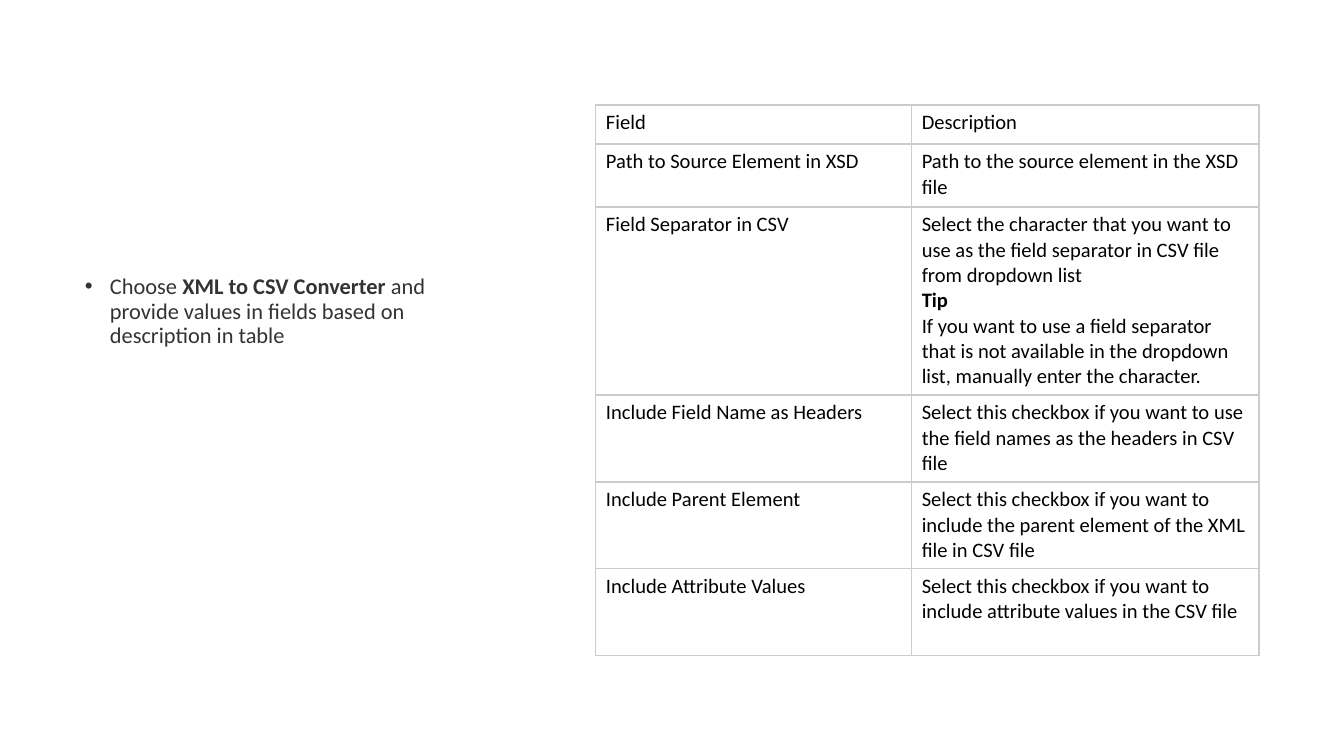
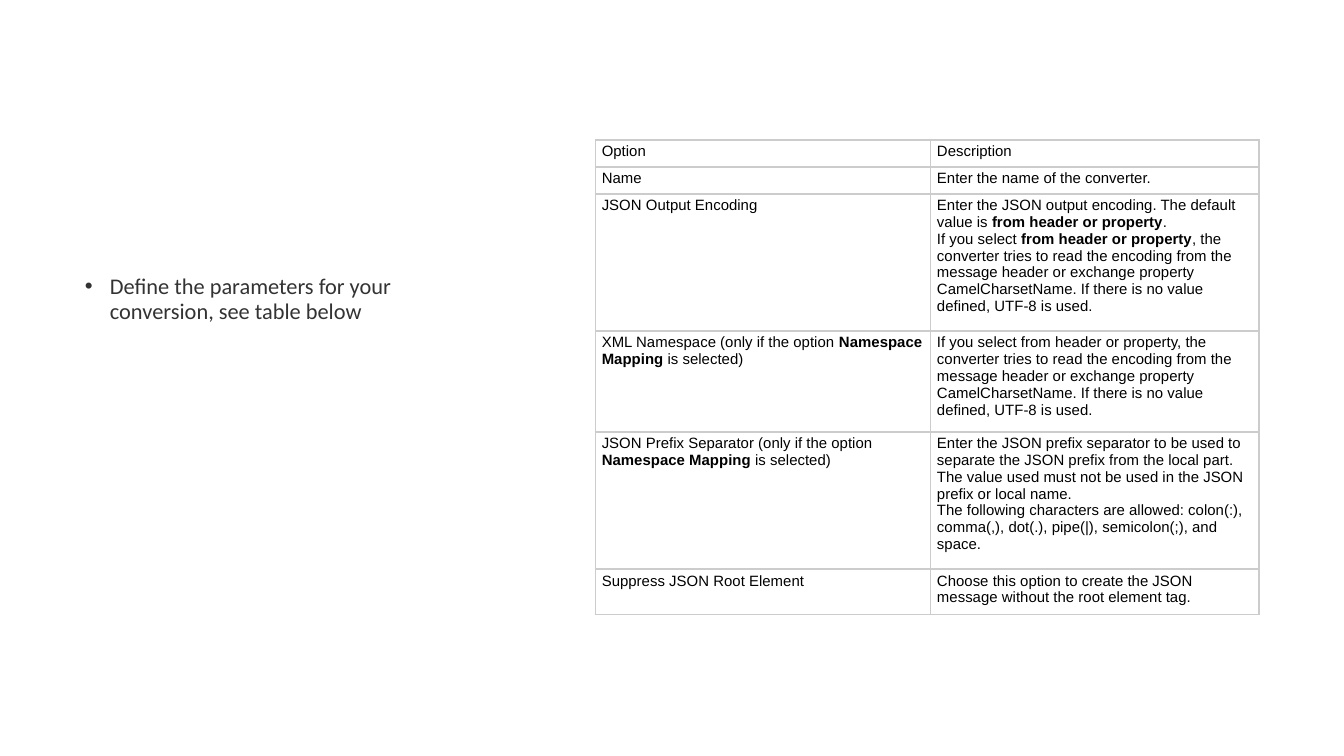
"""Build two slides that pair a converter instruction with its field table."""
from lxml import etree
from pptx import Presentation
from pptx.dml.color import RGBColor
from pptx.enum.text import MSO_ANCHOR, MSO_AUTO_SIZE
from pptx.oxml.ns import qn
from pptx.util import Pt

TOP = MSO_ANCHOR.TOP
NO_AUTOFIT = MSO_AUTO_SIZE.NONE
BLACK = RGBColor(0x00, 0x00, 0x00)
GRAY_TEXT = RGBColor(0x33, 0x33, 0x33)
GRAY_RULE = RGBColor(0xCC, 0xCC, 0xCC)

TABLE_LEFT = Pt(319)
BODY_BOX = {"left": Pt(38.2), "top": Pt(144), "width": Pt(207.4), "height": Pt(223.2)}
BODY_FRAME = {"word_wrap": True, "auto_size": NO_AUTOFIT, "vertical_anchor": TOP}
BODY_SPACING = {"line_spacing": 0.9, "space_before": Pt(7.5), "space_after": Pt(0)}
BODY_FONT = {"name": "Calibri", "size": Pt(12)}
PLAIN_TABLE = {"first_row": False, "horz_banding": False}

XML_TO_CSV = {
    "instruction": "Choose **XML to CSV Converter** and provide values in fields based on description in table",
    "top": Pt(56.2),
    "columns": (169.2, 186.4),
    "heights": (20.9, 33.8, 100.6, 46.6, 46.6, 46.6),
    "font": {"name": "Calibri", "size": Pt(11)},
    "margins": (5.6, 2.8),
    "rows": (
        ("Field", "Description"),
        ("Path to Source Element in XSD", "Path to the source element in the XSD file"),
        ("Field Separator in CSV",
         "Select the character that you want to use as the field separator in CSV file from dropdown list\n"
         "**Tip**\n"
         "If you want to use a field separator that is not available in the dropdown list, "
         "manually enter the character."),
        ("Include Field Name as Headers",
         "Select this checkbox if you want to use the field names as the headers in CSV file"),
        ("Include Parent Element",
         "Select this checkbox if you want to include the parent element of the XML file in CSV file"),
        ("Include Attribute Values",
         "Select this checkbox if you want to include attribute values in the CSV file"),
    ),
}

XML_TO_JSON = {
    "instruction": "Define the parameters for your conversion, see table below",
    "top": Pt(75),
    "columns": (179.6, 176),
    "heights": (14.4, 14.4, 73.6, 54, 73.6, 24.2),
    "font": {"name": "Arial", "size": Pt(8)},
    "margins": (3.4, 1.7),
    "rows": (
        ("Option", "Description"),
        ("Name", "Enter the name of the converter."),
        ("JSON Output Encoding",
         "Enter the JSON output encoding. The default value is **from header or property**.\n"
         "If you select **from header or property**, the converter tries to read the encoding from the "
         "message header or exchange property CamelCharsetName. If there is no value defined, UTF-8 is used."),
        ("XML Namespace (only if the option **Namespace Mapping** is selected)",
         "If you select from header or property, the converter tries to read the encoding from the message "
         "header or exchange property CamelCharsetName. If there is no value defined, UTF-8 is used."),
        ("JSON Prefix Separator (only if the option **Namespace Mapping** is selected)",
         "Enter the JSON prefix separator to be used to separate the JSON prefix from the local part. "
         "The value used must not be used in the JSON prefix or local name.\n"
         "The following characters are allowed: colon(:), comma(,), dot(.), pipe(|), semicolon(;), and space."),
        ("Suppress JSON Root Element",
         "Choose this option to create the JSON message without the root element tag."),
    ),
}


def apply(target, values):
    """Set each named attribute on the target."""
    for name, value in values.items():
        setattr(target, name, value)


def write_text(frame, text, font, color):
    """Write one paragraph per line, with **marked** parts in bold."""
    for number, line in enumerate(text.split("\n")):
        paragraph = frame.add_paragraph() if number else frame.paragraphs[0]
        for position, part in enumerate(line.split("**")):
            if part:
                run = paragraph.add_run()
                run.text = part
                apply(run.font, {**font, "bold": position % 2 == 1})
                run.font.color.rgb = color


def add_instruction(slide, text):
    """Place the bulleted instruction in the body placeholder."""
    body = slide.placeholders[1]
    apply(body, BODY_BOX)
    apply(body.text_frame, BODY_FRAME)
    write_text(body.text_frame, text, BODY_FONT, GRAY_TEXT)
    paragraph = body.text_frame.paragraphs[0]
    apply(paragraph, BODY_SPACING)
    properties = paragraph._p.get_or_add_pPr()
    properties.set("marL", str(Pt(13.5)))
    properties.set("indent", str(-Pt(13.5)))


def add_borders(cell):
    """Rule all four sides of a table cell."""
    properties = cell._tc.get_or_add_tcPr()
    for side in ("a:lnL", "a:lnR", "a:lnT", "a:lnB"):
        rule = etree.SubElement(properties, qn(side), w=str(Pt(1)))
        fill = etree.SubElement(rule, qn("a:solidFill"))
        etree.SubElement(fill, qn("a:srgbClr"), val=str(GRAY_RULE))


def add_field_table(slide, content):
    """Add the ruled table that describes each field."""
    rows, columns, heights = content["rows"], content["columns"], content["heights"]
    table = slide.shapes.add_table(len(rows), len(columns), TABLE_LEFT, content["top"],
                                   Pt(sum(columns)), Pt(sum(heights))).table
    apply(table, PLAIN_TABLE)
    for column, width in zip(table.columns, columns):
        column.width = Pt(width)
    side, edge = map(Pt, content["margins"])
    cell_format = {"margin_left": side, "margin_right": side, "margin_top": edge,
                   "margin_bottom": edge, "vertical_anchor": TOP}
    for row, height, texts in zip(table.rows, heights, rows):
        row.height = Pt(height)
        for cell, text in zip(row.cells, texts):
            apply(cell, cell_format)
            add_borders(cell)
            cell.fill.background()
            write_text(cell.text_frame, text, content["font"], BLACK)


def add_converter_slide(presentation, content):
    """Add a slide with an instruction and its table."""
    slide = presentation.slides.add_slide(presentation.slide_layouts[1])
    heading = slide.shapes.title.element
    heading.getparent().remove(heading)
    add_instruction(slide, content["instruction"])
    add_field_table(slide, content)


def main():
    """Build and save the presentation."""
    presentation = Presentation()
    apply(presentation, {"slide_width": Pt(720), "slide_height": Pt(405)})
    for content in (XML_TO_CSV, XML_TO_JSON):
        add_converter_slide(presentation, content)
    presentation.save("out.pptx")


if __name__ == "__main__":
    main()
